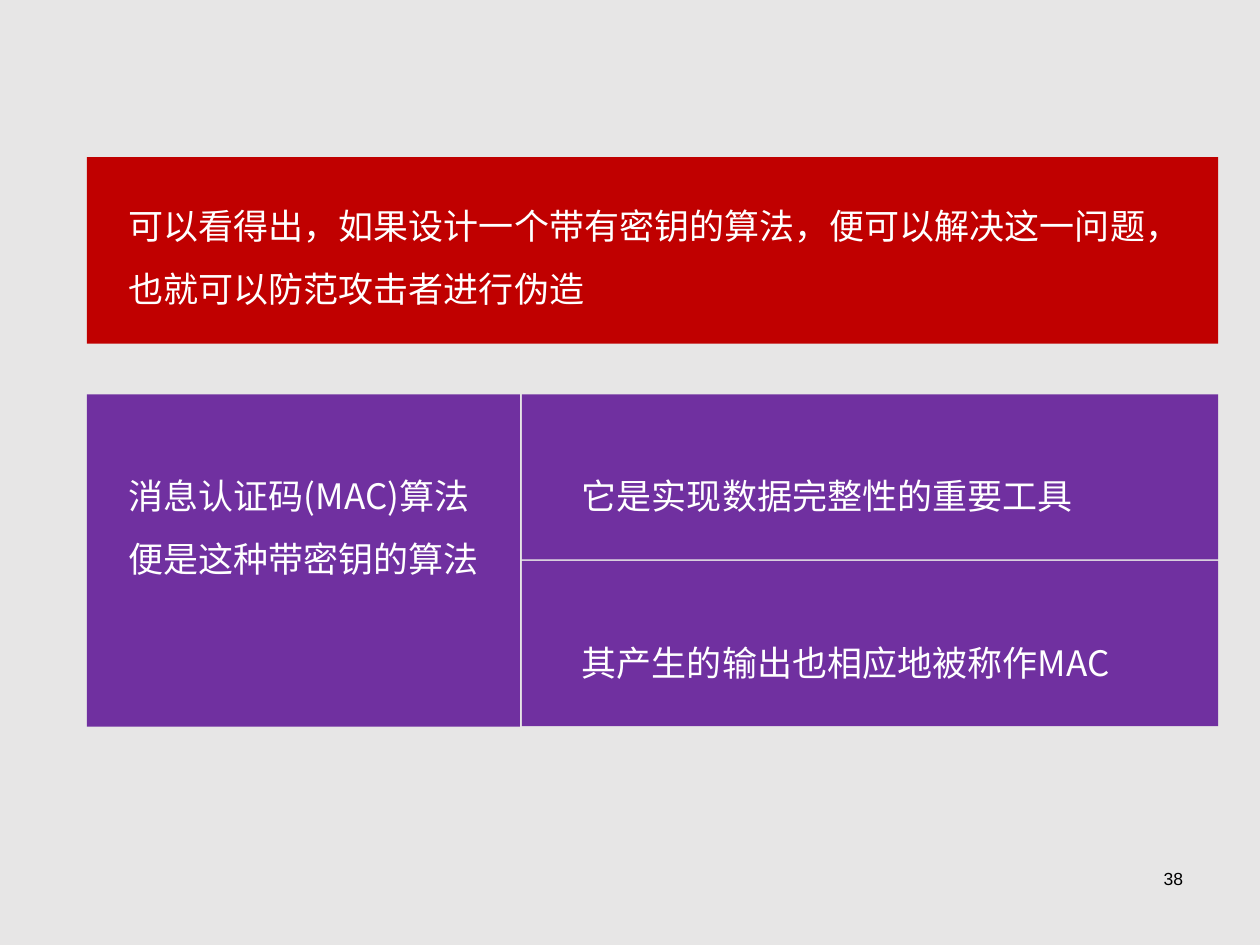
import pptx
import pptx.util
import pptx.dml.color
import pptx.enum.shapes
import pptx.enum.text
import pptx.oxml.ns
import lxml.etree

Cm = pptx.util.Cm
HUES = {"back": "E7E6E6", "red": "C00000", "purple": "7030A0",
        "white": "FFFFFF", "black": "000000"}


def hue(name):
    return pptx.dml.color.RGBColor.from_string(HUES[name])


def write(frame, text, font, size, color, align="LEFT", space=1.0, pad=(0.25, 0.13)):
    frame.word_wrap = True
    frame.margin_left = frame.margin_right = Cm(pad[0])
    frame.margin_top = frame.margin_bottom = Cm(pad[1])
    para = frame.paragraphs[0]
    para.alignment = getattr(pptx.enum.text.PP_ALIGN, align)
    para.line_spacing = space
    run = para.add_run()
    run.text = text
    run.font.name = font
    run.font.size = pptx.util.Pt(size)
    run.font.color.rgb = hue(color)
    east = lxml.etree.SubElement(run._r.get_or_add_rPr(), pptx.oxml.ns.qn("a:ea"))
    east.set("typeface", font)


class Deck:
    body = {"font": "Noto Sans CJK SC", "size": 20, "color": "white", "space": 1.5}
    small = {"font": "Arial", "size": 10, "color": "black",
             "align": "RIGHT", "pad": (0.28, 0.15)}

    def __init__(self, show):
        self.slide = show.slides.add_slide(show.slide_layouts[6])
        fill = self.slide.background.fill
        fill.solid()
        fill.fore_color.rgb = hue("back")

    def text(self, shapes, area, words, style):
        box = shapes.add_textbox(*map(Cm, area))
        write(box.text_frame, words, **style)

    def panel(self, area, color, inner, words):
        shapes = self.slide.shapes.add_group_shape().shapes
        rect = shapes.add_shape(pptx.enum.shapes.MSO_SHAPE.RECTANGLE, *map(Cm, area))
        rect.shadow.inherit = False
        rect.fill.solid()
        rect.fill.fore_color.rgb = hue(color)
        rect.line.fill.background()
        self.text(shapes, inner, words, self.body)

    def number(self, area, words):
        self.text(self.slide.shapes, area, words, self.small)


def main():
    show = pptx.Presentation()
    show.slide_width, show.slide_height = Cm(25.4), Cm(19.05)
    deck = Deck(show)
    deck.number((18.21, 17.35, 5.92, 1.32), "38")
    deck.panel((1.75, 3.17, 22.81, 3.76), "red", (2.34, 3.56, 21.64, 2.79),
               "可以看得出，如果设计一个带有密钥的算法，便可以解决这一问题，也就可以防范攻击者进行伪造")
    top, drop = 7.95, 1.07
    deck.panel((1.75, top, 8.73, 6.7), "purple", (2.34, top + drop, 7.95, 4.06),
               "消息认证码(MAC)算法便是这种带密钥的算法")
    facts = ["它是实现数据完整性的重要工具", "其产生的输出也相应地被称作MAC"]
    for row, fact in enumerate(facts):
        y = top + row * 3.36
        deck.panel((10.52, y, 14.04, 3.33), "purple",
                   (11.48, y + drop, 12.78, 1.52), fact)
    show.save("out.pptx")


if __name__ == "__main__":
    main()
